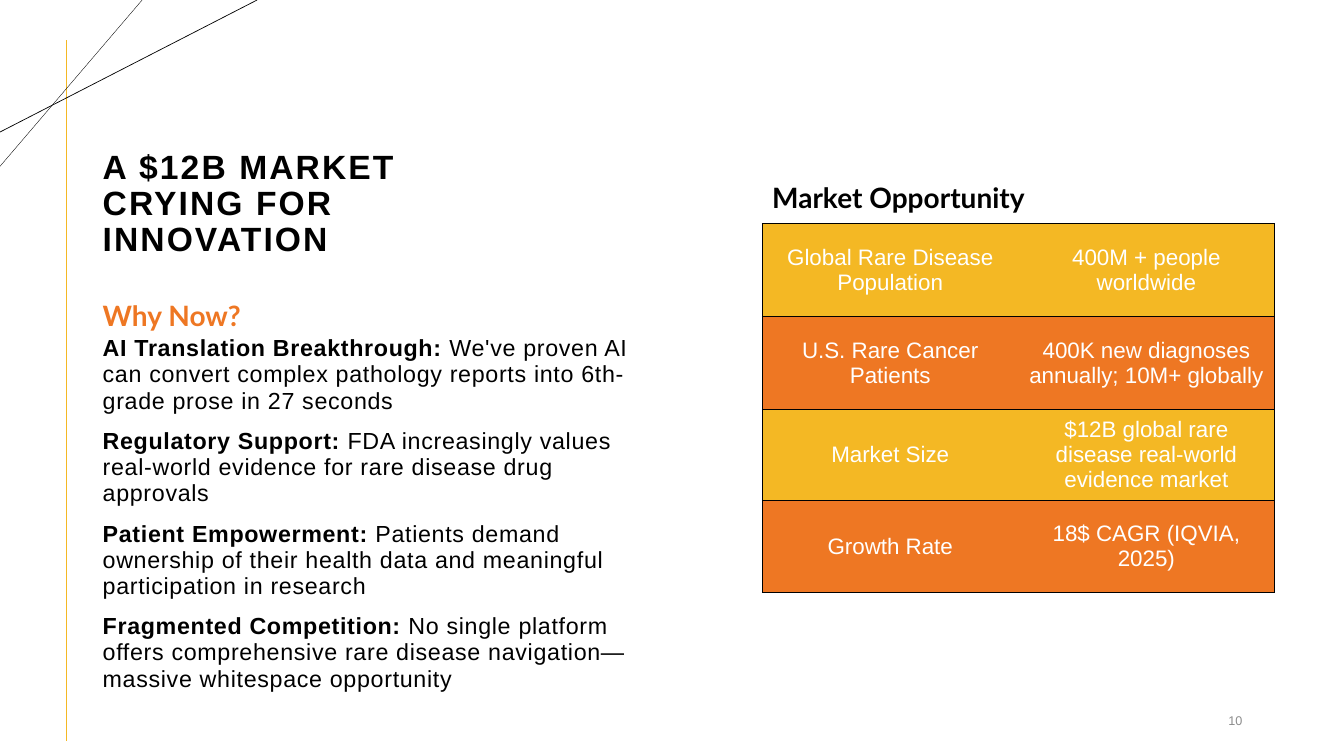
from dataclasses import dataclass

from lxml import etree
from pptx import Presentation
from pptx import util as u
from pptx.dml.color import RGBColor
from pptx.enum import shapes, text
from pptx.oxml.ns import qn


@dataclass(frozen=True)
class Theme:
    """Colours, fonts and type sizes of the slide."""
    black: str = "000000"
    white: str = "FFFFFF"
    grey: str = "8C8C8C"
    yellow: str = "F4B824"
    orange: str = "EE7723"
    body_font: str = "Arial"
    heading_font: str = "Lato"
    title_size: float = 24
    heading_size: float = 20
    reason_size: float = 16.6
    market_size: float = 16
    number_size: float = 9


THEME = Theme()
REASONS = [
    ("AI Translation Breakthrough:",
     " We've proven AI can convert complex pathology reports into 6th-grade prose in 27 seconds"),
    ("Regulatory Support:",
     " FDA increasingly values real-world evidence for rare disease drug approvals"),
    ("Patient Empowerment:",
     " Patients demand ownership of their health data and meaningful participation in research"),
    ("Fragmented Competition:",
     " No single platform offers comprehensive rare disease navigation—massive whitespace opportunity"),
]
MARKET = [
    ("Global Rare Disease Population", "400M + people worldwide", 0.92),
    ("U.S. Rare Cancer Patients", "400K new diagnoses annually; 10M+ globally", 0.92),
    ("Market Size", "$12B global rare disease real-world evidence market", 0.85),
    ("Growth Rate", "18$ CAGR (IQVIA, 2025)", 0.92),
]


def inches(*lengths):
    """Convert several lengths to Inches."""
    return [u.Inches(length) for length in lengths]


def set_font(font, size, color, name=THEME.body_font, bold=None):
    """Give a font its size, colour, face and weight."""
    font.size, font.name, font.bold = u.Pt(size), name, bold
    font.color.rgb = RGBColor.from_string(color)


def add_run(paragraph, words, tracking=0, bold=None):
    """Append a run with letter spacing in points."""
    run = paragraph.add_run()
    run.text = words
    if bold is not None:
        run.font.bold = bold
    if tracking:
        run._r.get_or_add_rPr().set("spc", str(round(tracking * 100)))


def add_frame(slide, box, anchor=text.MSO_ANCHOR.TOP):
    """Add a wrapping text box and return its text frame."""
    frame = slide.shapes.add_textbox(*inches(*box)).text_frame
    frame.word_wrap = True
    frame.vertical_anchor = anchor
    return frame


def add_line(slide, start, end, color, width):
    """Draw a straight line without a shadow."""
    line = slide.shapes.add_connector(
        shapes.MSO_CONNECTOR.STRAIGHT, *inches(*start, *end))
    line.line.color.rgb = RGBColor.from_string(color)
    line.line.width = u.Pt(width)
    etree.SubElement(line._element.spPr, qn("a:effectLst"))


def add_title(slide, words, box):
    """Add the tracked bold title."""
    title = add_frame(slide, box, text.MSO_ANCHOR.MIDDLE).paragraphs[0]
    title.line_spacing = 0.9
    set_font(title.font, THEME.title_size, THEME.black, bold=True)
    add_run(title, words, tracking=1.5)


def add_heading(slide, words, box, color):
    """Add a section heading."""
    heading = add_frame(slide, box).paragraphs[0]
    heading.line_spacing = 1.15
    set_font(heading.font, THEME.heading_size, color, THEME.heading_font, True)
    add_run(heading, words)


def add_reasons(slide, reasons, box):
    """Add paragraphs that open with a bold label."""
    frame = add_frame(slide, box)
    frame.margin_top = 0
    for index, (label, detail) in enumerate(reasons):
        reason = frame.add_paragraph() if index else frame.paragraphs[0]
        reason.line_spacing = 0.94
        if index:
            reason.space_before = u.Pt(10)
        set_font(reason.font, THEME.reason_size, THEME.black)
        add_run(reason, label, tracking=0.5, bold=True)
        add_run(reason, detail, tracking=0.5, bold=False)


def set_borders(cell, visible_sides):
    """Rule the visible sides of a cell and clear the others."""
    properties = cell._tc.get_or_add_tcPr()
    for side in "LRTB":
        border = etree.SubElement(
            properties, qn(f"a:ln{side}"), w=str(int(u.Pt(0.5))))
        if side in visible_sides:
            fill = etree.SubElement(border, qn("a:solidFill"))
            etree.SubElement(fill, qn("a:srgbClr"), val=THEME.black)
        else:
            etree.SubElement(border, qn("a:noFill"))


def fill_cell(cell, words, color, visible_sides):
    """Set the text, borders and fill of a cell."""
    set_borders(cell, visible_sides)
    cell.fill.solid()
    cell.fill.fore_color.rgb = RGBColor.from_string(color)
    cell.vertical_anchor = text.MSO_ANCHOR.MIDDLE
    entry = cell.text_frame.paragraphs[0]
    entry.alignment = text.PP_ALIGN.CENTER
    set_font(entry.font, THEME.market_size, THEME.white)
    add_run(entry, words)


def add_market_table(slide, market, left, top, width):
    """Add the two-column market table with alternating rows."""
    height = sum(row_height for _, _, row_height in market)
    table = slide.shapes.add_table(
        len(market), 2, *inches(left, top, width, height)).table
    table.first_row = table.horz_banding = False
    for row, (measure, value, row_height) in enumerate(market):
        table.rows[row].height = u.Inches(row_height)
        color = THEME.orange if row % 2 else THEME.yellow
        fill_cell(table.cell(row, 0), measure, color, "LTB")
        fill_cell(table.cell(row, 1), value, color, "RTB")


def add_slide_number(slide, number, box):
    """Add the slide number at the lower right."""
    page = add_frame(slide, box, text.MSO_ANCHOR.MIDDLE).paragraphs[0]
    page.alignment = text.PP_ALIGN.RIGHT
    set_font(page.font, THEME.number_size, THEME.grey)
    add_run(page, number)


def main():
    """Build and save the market slide."""
    deck = Presentation()
    deck.slide_width, deck.slide_height = inches(13.33, 7.5)
    slide = deck.slides.add_slide(deck.slide_layouts[6])
    add_line(slide, (0.66, 0.4), (0.66, 7.35), THEME.yellow, 1.25)
    add_line(slide, (1.41, 0), (0, 1.65), THEME.black, 0.25)
    add_line(slide, (2.55, 0), (0, 1.31), THEME.black, 0.5)
    add_title(slide, "A $12B MARKET CRYING FOR INNOVATION", (0.92, 0.98, 3.55, 2.1))
    add_heading(slide, "Why Now?", (0.92, 2.86, 5.08, 0.47), THEME.orange)
    add_reasons(slide, REASONS, (0.92, 3.33, 5.75, 3.54))
    add_heading(slide, "Market Opportunity", (7.56, 1.69, 5.08, 0.47), THEME.black)
    add_market_table(slide, MARKET, 7.56, 2.22, 5.08)
    add_slide_number(slide, "10", (11.34, 6.95, 1.08, 0.4))
    deck.save("out.pptx")


if __name__ == "__main__":
    main()
